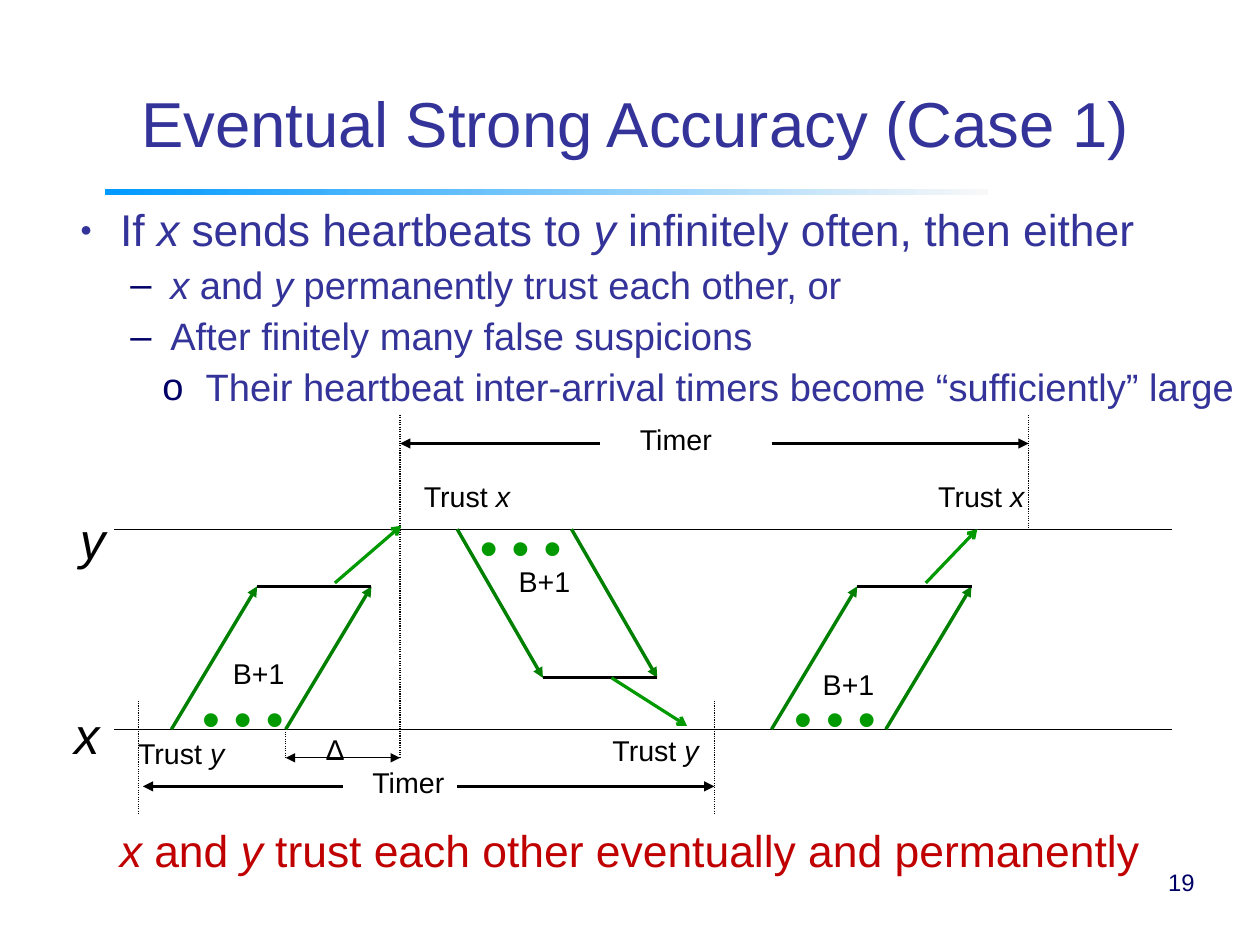
from lxml.etree import SubElement
from pptx import Presentation
from pptx.dml.color import RGBColor
from pptx.enum.dml import MSO_LINE
from pptx.enum.shapes import MSO_CONNECTOR, MSO_SHAPE
from pptx.enum.text import MSO_ANCHOR, PP_ALIGN
from pptx.oxml.ns import qn
from pptx.util import Cm, Pt

PX = 9144  # 100 px to the inch
SLIDE_SIZE = (Cm(28), Cm(21))
FONT = "Arial"
BLACK, NAVY, INDIGO, RED = "000000", "000066", "333399", "C00000"
DARK_GREEN, GREEN = "008000", "009900"

# Text between asterisks is italic.
TITLE = "Eventual Strong Accuracy (Case 1)"
# text, size, left margin, hanging indent, space before, bullet, bullet colour, bullet size %
BULLETS = [
    ("If *x* sends heartbeats to *y* infinitely often, then either", 28, 94, 35, 6.6, "●", INDIGO, 45),
    ("*x* and *y* permanently trust each other, or", 24, 138, 35, 5.5, "‒", NAVY, 100),
    ("After finitely many false suspicions", 24, 138, 35, 5.5, "‒", NAVY, 100),
    ("Their heartbeat inter-arrival timers become “sufficiently” large", 24, 169, 38, 5.5, "o", NAVY, 100),
]
CONCLUSION = "*x* and *y* trust each other eventually and permanently"
PAGE_NUMBER = "19"

Y_LINE, X_LINE = 463, 638
TIMELINE = (100, 1025)
BURST_WIDTH, BURST_SHIFT = 100, 75
# first send, sender line, arrival height, reply arrow, B+1 corner, dots corner
BURSTS = [
    (150, X_LINE, 513, (293, 510, 351, 460), (194, 568), (167, 594)),
    (400, Y_LINE, 593, (535, 593, 601, 635), (444, 487), (410, 444)),
    (675, X_LINE, 513, (810, 510, 855, 463), (710, 577), (685, 594)),
]
# height, left arrow from/to, right arrow from/to, line width
SPANS = [
    (388, 525, 350, 675, 900, 2.15),
    (688, 300, 125, 400, 625, 2.15),
    (663, 300, 250, 300, 350, 0.75),
]
# x, top, bottom
MARKERS = [(350, 363, 663), (900, 363, 463), (121, 613, 713), (625, 613, 713), (250, 638, 663)]
# text, left, top, width, height, size
LABELS = [
    ("*y*", 60, 438, 30, 60, 32),
    ("*x*", 55, 609, 30, 60, 32),
    ("Trust *y*", 111, 638, 96, 39, 18),
    ("Trust *y*", 526, 635, 96, 39, 18),
    ("Trust *x*", 361, 413, 96, 39, 18),
    ("Trust *x*", 811, 413, 96, 39, 18),
    ("Timer", 316, 663, 84, 50, 18),
    ("Timer", 550, 363, 84, 50, 18),
    ("Δ", 275, 634, 36, 38, 18),
]


def color(value):
    return RGBColor.from_string(value)


def write_runs(paragraph, text, size, text_color):
    for index, part in enumerate(text.split("*")):
        if part:
            run = paragraph.add_run()
            run.text = part
            run.font.name, run.font.size = FONT, Pt(size)
            run.font.italic = index % 2 == 1
            run.font.color.rgb = color(text_color)


def add_frame(slide, left, top, width, height, inset=(10, 5), wrap=False):
    """Add an empty text box and return its text frame."""
    frame = slide.shapes.add_textbox(left * PX, top * PX, width * PX, height * PX).text_frame
    frame.word_wrap = wrap
    frame.margin_left = frame.margin_right = inset[0] * PX
    frame.margin_top = frame.margin_bottom = inset[1] * PX
    return frame


def add_label(slide, text, left, top, width, height, size, text_color=BLACK):
    paragraph = add_frame(slide, left, top, width, height).paragraphs[0]
    paragraph.line_spacing = 1.04
    write_runs(paragraph, text, size, text_color)


def add_line(slide, x1, y1, x2, y2, width=0.75, line_color=BLACK, arrow=None, dotted=False):
    connector = slide.shapes.add_connector(
        MSO_CONNECTOR.STRAIGHT, x1 * PX, y1 * PX, x2 * PX, y2 * PX)
    connector.line.width = Pt(width)
    connector.line.color.rgb = color(line_color)
    if dotted:
        connector.line.dash_style = MSO_LINE.ROUND_DOT
    if arrow:
        SubElement(connector.line._get_or_add_ln(), qn("a:tailEnd"), type=arrow)
    SubElement(connector._element.spPr, qn("a:effectLst"))


def add_bullet(paragraph, margin, hanging, char, bullet_color, percent):
    properties = paragraph._p.get_or_add_pPr()
    properties.set("marL", str(margin * PX))
    properties.set("indent", str(-hanging * PX))
    SubElement(SubElement(properties, qn("a:buClr")), qn("a:srgbClr"), val=bullet_color)
    SubElement(properties, qn("a:buSzPct"), val=str(percent * 1000))
    SubElement(properties, qn("a:buFont"), typeface=FONT)
    SubElement(properties, qn("a:buChar"), char=char)


def add_heading(slide):
    rule = slide.shapes.add_shape(MSO_SHAPE.RECTANGLE, 92 * PX, 165 * PX, 772 * PX, 6 * PX)
    rule.shadow.inherit = False
    rule.line.fill.background()
    rule.fill.gradient()
    rule.fill.gradient_angle = 0
    for stop, stop_color in zip(rule.fill.gradient_stops, ("0099FF", "F8F8F8")):
        stop.color.rgb = color(stop_color)

    frame = add_frame(slide, 74, 46, 963, 101, inset=(11, 6), wrap=True)
    frame.vertical_anchor = MSO_ANCHOR.BOTTOM
    paragraph = frame.paragraphs[0]
    paragraph.alignment, paragraph.line_spacing = PP_ALIGN.CENTER, 0.93
    write_runs(paragraph, TITLE, 40, INDIGO)


def add_body(slide):
    frame = add_frame(slide, 0, 175, 1102, 230, inset=(11, 6), wrap=True)
    for index, (text, size, margin, hanging, before, *bullet) in enumerate(BULLETS):
        paragraph = frame.add_paragraph() if index else frame.paragraphs[0]
        paragraph.line_spacing, paragraph.space_before = 0.93, Pt(before)
        add_bullet(paragraph, margin, hanging, *bullet)
        write_runs(paragraph, text, size, INDIGO)


def add_burst(slide, start, sender, arrival, reply, count_corner, dots_corner):
    """Draw the first and last heartbeat of a burst, and the reply it sets off."""
    for sent in (start, start + BURST_WIDTH):
        add_line(slide, sent, sender, sent + BURST_SHIFT, arrival, 2.15, DARK_GREEN, "triangle")
    first = start + BURST_SHIFT
    add_line(slide, first + BURST_WIDTH, arrival, first, arrival, 2)
    add_line(slide, *reply, 2, GREEN, "arrow")
    add_label(slide, "B+1", *count_corner, 66, 39, 18)
    add_label(slide, "• • •", *dots_corner, 92, 66, 32, GREEN)


def add_diagram(slide):
    for level in (Y_LINE, X_LINE):
        add_line(slide, TIMELINE[0], level, TIMELINE[1], level)
    for x, top, bottom in MARKERS:
        add_line(slide, x, top, x, bottom, dotted=True)
    for level, left_from, left_to, right_from, right_to, width in SPANS:
        add_line(slide, left_from, level, left_to, level, width, arrow="triangle")
        add_line(slide, right_from, level, right_to, level, width, arrow="triangle")
    for burst in BURSTS:
        add_burst(slide, *burst)
    for label in LABELS:
        add_label(slide, *label)


def add_footer(slide):
    add_label(slide, CONCLUSION, 95, 713, 923, 56, 28, RED)
    frame = add_frame(slide, 827, 744, 229, 55, inset=(11, 6), wrap=True)
    frame.vertical_anchor = MSO_ANCHOR.MIDDLE
    frame.paragraphs[0].alignment = PP_ALIGN.RIGHT
    write_runs(frame.paragraphs[0], PAGE_NUMBER, 15, NAVY)


def main():
    presentation = Presentation()
    presentation.slide_width, presentation.slide_height = SLIDE_SIZE
    slide = presentation.slides.add_slide(presentation.slide_layouts[6])
    add_heading(slide)
    add_body(slide)
    add_diagram(slide)
    add_footer(slide)
    presentation.save("out.pptx")


if __name__ == "__main__":
    main()
